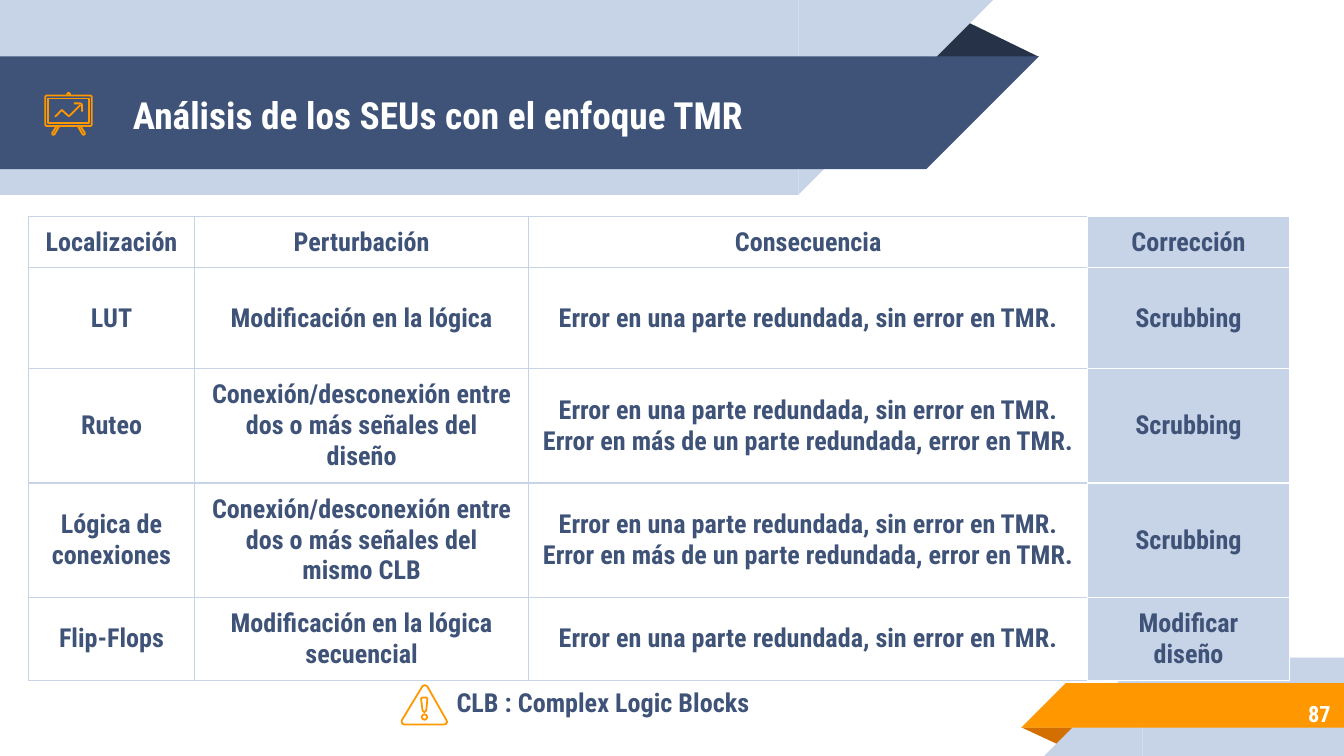
from pptx import Presentation
from pptx.dml.color import RGBColor
from pptx.enum.shapes import MSO_SHAPE
from pptx.enum.text import MSO_ANCHOR, PP_ALIGN
from pptx.oxml import parse_xml
from pptx.oxml.ns import nsdecls
from pptx.util import Pt

RECT, CORNER, TRIANGLE = MSO_SHAPE.RECTANGLE, MSO_SHAPE.RIGHT_TRIANGLE, MSO_SHAPE.ISOSCELES_TRIANGLE
TOP, MIDDLE = MSO_ANCHOR.TOP, MSO_ANCHOR.MIDDLE
LEFT, CENTER, RIGHT = PP_ALIGN.LEFT, PP_ALIGN.CENTER, PP_ALIGN.RIGHT
FONT = "Roboto Condensed"
NAVY, DARK, PALE = "3F5378", "263248", "C7D3E6"
ORANGE, RUST, WHITE = "FF9800", "D26F00", "FFFFFF"

color = RGBColor.from_string


def write(frame, lines, size, ink, align):
    frame.word_wrap = True
    for number, line in enumerate(lines):
        para = frame.add_paragraph() if number else frame.paragraphs[0]
        para.alignment = align
        span = para.add_run()
        span.text = line
        span.font.name, span.font.size, span.font.bold = FONT, Pt(size), True
        span.font.color.rgb = color(ink)


def draw_icon(parts):
    for contours, closed in parts:
        builder = None
        for contour in contours:
            points = [(Pt(x), Pt(y)) for x, y in contour]
            if builder is None:
                builder = page.shapes.build_freeform(*points[0], scale=1.0)
            else:
                builder.move_to(*points[0])
            builder.add_line_segments(points[1:], close=closed)
        outline = builder.convert_to_shape()
        outline.shadow.inherit = False
        outline.fill.background()
        outline.line.color.rgb = color(ORANGE)
        outline.line.width = Pt(0.96)


deck = Presentation()
deck.slide_width, deck.slide_height = Pt(720), Pt(405)
page = deck.slides.add_slide(deck.slide_layouts[6])

# Ribbons at the top and at the bottom right
ribbons = [
    (TRIANGLE, 495.5, 10.2, 61, 20.2, 0, DARK),
    (RECT, 0, 0, 427.7, 104.4, 0, PALE),
    (CORNER, 427.7, 0, 104.4, 104.4, 90, PALE),
    (RECT, 0, 30.2, 496.2, 60.5, 0, NAVY),
    (CORNER, 496.2, 30.2, 60.5, 60.5, 90, NAVY),
    (TRIANGLE, 547.2, 389.7, 31, 9.8, 180, RUST),
    (RECT, 612, 352.3, 108, 52.7, 0, PALE),
    (CORNER, 559.3, 352.3, 52.7, 52.7, 270, PALE),
    (RECT, 571, 366, 149, 23.8, 0, ORANGE),
    (CORNER, 547.2, 366, 23.8, 23.8, 270, ORANGE),
]
for kind, left, top, width, height, angle, paint in ribbons:
    band = page.shapes.add_shape(kind, Pt(left), Pt(top), Pt(width), Pt(height))
    band.shadow.inherit = False
    band.rotation = angle
    band.fill.solid()
    band.fill.fore_color.rgb = color(paint)
    band.line.fill.background()
    if kind == TRIANGLE:
        band.adjustments[0] = 0.32

# Title, page number and footnote
texts = [
    ("Análisis de los SEUs con el enfoque TMR", 64.1, 31, 414, 60.5, 20, WHITE, LEFT, MIDDLE),
    ("87", 602.6, 369.4, 117.4, 25.2, 12, WHITE, RIGHT, MIDDLE),
    ("CLB : Complex Logic Blocks", 226.3, 360.7, 193.7, 33.8, 14, NAVY, CENTER, TOP),
]
for text, left, top, width, height, size, ink, align, anchor in texts:
    box = page.shapes.add_textbox(Pt(left), Pt(top), Pt(width), Pt(height))
    frame = box.text_frame
    frame.margin_left = frame.margin_right = frame.margin_top = frame.margin_bottom = Pt(7.2)
    frame.vertical_anchor = anchor
    write(frame, [text], size, ink, align)

# Board icon: frame, knob, legs, panel, trend line and arrowhead
board = [(24.9, 51.2), (48.6, 51.2), (49.2, 51.8), (49.2, 66.9),
         (48.6, 67.5), (24.9, 67.5), (24.3, 66.9), (24.3, 51.8)]
knob = [(37.6, 51.1), (37.4, 50.1), (36.8, 49.7), (36.2, 50.1), (36, 51.1)]
left_leg = [(30.4, 67.5), (28, 71.3), (28.1, 72), (28.6, 72.3), (29.2, 72), (31.8, 67.5)]
right_leg = [(73.5 - x, y) for x, y in left_leg]
panel = [(25.9, 52.8), (25.9, 66), (47.8, 66), (47.8, 52.8)]
trend = [(43.2, 56.2), (37.4, 61.9), (36.9, 62.2), (36.4, 61.9), (33.1, 58.9), (29.5, 62.6)]
arrowhead = [(39.6, 55.4), (43, 55.4), (43.7, 55.6), (43.9, 56.1), (43.9, 59.8)]
draw_icon([([board], True), ([knob], False), ([left_leg], False), ([right_leg], False),
           ([panel], True), ([trend], False), ([arrowhead], False)])

# Table of upsets
column_widths = [89, 179, 299.5, 108]
row_heights = [27.3, 54, 60.5, 60.5, 44]
single = "Error en una parte redundada, sin error en TMR."
double = single + "\nError en más de un parte redundada, error en TMR."
rows = [
    ("Localización", "Perturbación", "Consecuencia", "Corrección"),
    ("LUT", "Modificación en la lógica", single, "Scrubbing"),
    ("Ruteo", "Conexión/desconexión entre dos o más señales del diseño", double, "Scrubbing"),
    ("Lógica de conexiones", "Conexión/desconexión entre dos o más señales del mismo CLB",
     double, "Scrubbing"),
    ("Flip-Flops", "Modificación en la lógica secuencial", single, "Modificar diseño"),
]
table = page.shapes.add_table(len(rows), len(column_widths), Pt(15.3), Pt(115.9),
                              Pt(sum(column_widths)), Pt(sum(row_heights))).table
table.first_row = table.horz_banding = False
for column, width in zip(table.columns, column_widths):
    column.width = Pt(width)
for row, height, values in zip(table.rows, row_heights, rows):
    row.height = Pt(height)
    for index, (cell, value) in enumerate(zip(row.cells, values)):
        last = index == len(values) - 1
        cell.vertical_anchor = MIDDLE
        cell.margin_left = cell.margin_right = Pt(7.2)
        cell.margin_top = cell.margin_bottom = Pt(5.4)
        write(cell.text_frame, value.split("\n"), 14, NAVY, CENTER)
        if last:
            cell.fill.solid()
            cell.fill.fore_color.rgb = color(PALE)
        else:
            cell.fill.background()
        # Borders come before the fill; those touching the last column are white
        properties = cell._tc.get_or_add_tcPr()
        for place, side in enumerate("LRTB"):
            white = last or (index == len(values) - 2 and side == "R")
            properties.insert(place, parse_xml(
                f'<a:ln{side} {nsdecls("a")} w="{Pt(0.75)}"><a:solidFill>'
                f'<a:srgbClr val="{WHITE if white else PALE}"/></a:solidFill></a:ln{side}>'))

# Warning icon: sign, dot and bar
sign = [(239.2, 385.9), (229, 367.9), (228.3, 367.3), (227.3, 367.1), (226.3, 367.7),
        (215.3, 385.9), (215.2, 387), (215.8, 387.9), (216.7, 388.2), (237.8, 388.2),
        (238.9, 387.9), (239.5, 387)]
dot = [(227.4, 385.7), (226.4, 385.2), (225.9, 384.2), (226.4, 383.2),
       (227.4, 382.7), (228.4, 383.2), (228.9, 384.2), (228.4, 385.2)]
bar = [(229, 374.4), (228.4, 380.3), (228, 381.2), (227.4, 381.5), (226.7, 381.2),
       (226.3, 380.3), (225.6, 374.4), (226.2, 373.7), (228.4, 373.7)]
draw_icon([([sign, dot, bar], True)])

deck.save("out.pptx")
